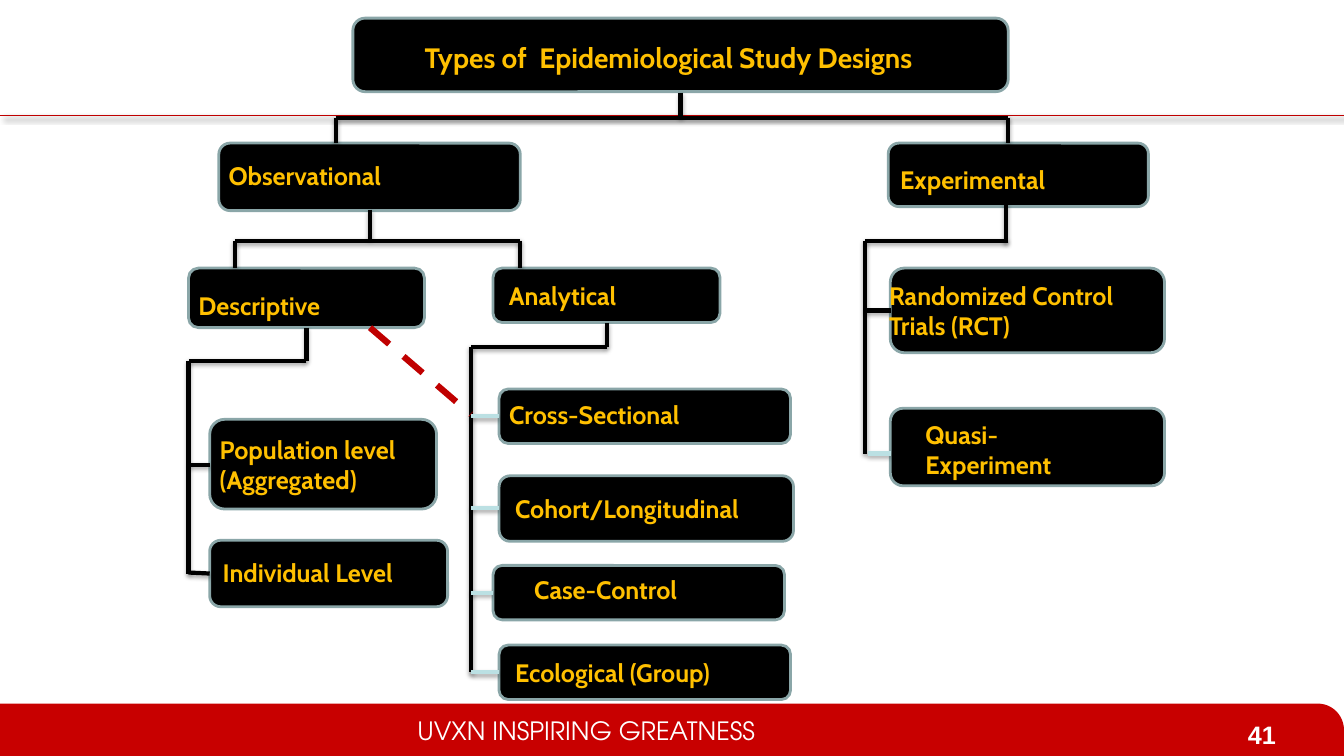
from lxml import etree
from pptx import Presentation
from pptx.dml.color import RGBColor
from pptx.enum.dml import MSO_LINE
from pptx.enum.shapes import MSO_CONNECTOR, MSO_SHAPE
from pptx.enum.text import PP_ALIGN
from pptx.oxml.ns import qn
from pptx.util import Inches, Pt

BLACK = RGBColor(0x00, 0x00, 0x00)
WHITE = RGBColor(0xFF, 0xFF, 0xFF)
GOLD = RGBColor(0xFF, 0xC0, 0x00)
GREY_TEAL = RGBColor(0x8A, 0xA6, 0xA8)
PALE_BLUE = RGBColor(0xBB, 0xE0, 0xE3)
RED = RGBColor(0xC0, 0x00, 0x00)
FOOTER_RED = RGBColor(0xC8, 0x00, 0x00)
ROUNDED = MSO_SHAPE.ROUNDED_RECTANGLE
ONE_ROUND = MSO_SHAPE.ROUND_1_RECTANGLE
STRAIGHT = MSO_CONNECTOR.STRAIGHT
DASH = MSO_LINE.DASH
LEFT, CENTER = PP_ALIGN.LEFT, PP_ALIGN.CENTER

# Shadows: opacity %, blur pt, distance pt, angle
TREE_SHADOW = (35, 3.1, 1.8, 90)
RULE_SHADOW = (40, 4, 3, 45)

prs = Presentation()
prs.slide_width, prs.slide_height = Inches(13.33), Inches(7.5)
s = prs.slides.add_slide(prs.slide_layouts[6])


def add_text(text, x, y, w, h, size=18, font="Cabin", color=GOLD, bold=True, align=LEFT):
    tf = s.shapes.add_textbox(Inches(x), Inches(y), Inches(w), Inches(h)).text_frame
    tf.word_wrap = True
    p = tf.paragraphs[0]
    p.alignment = align
    r = p.add_run()
    r.text = text
    r.font.size, r.font.name, r.font.bold = Pt(size), font, bold
    r.font.color.rgb = color


def add_line(x1, y1, x2, y2, color=BLACK, width=3, shadow=TREE_SHADOW, dash=None):
    ln = s.shapes.add_connector(STRAIGHT, Inches(x1), Inches(y1), Inches(x2), Inches(y2))
    ln.line.color.rgb = color
    ln.line.width = Pt(width)
    if dash:
        ln.line.dash_style = dash
    effects = etree.SubElement(ln._element.spPr, qn("a:effectLst"))
    if shadow:
        opacity, blur, dist, angle = shadow
        outer = etree.SubElement(effects, qn("a:outerShdw"), blurRad=str(Pt(blur)),
                                 dist=str(Pt(dist)), dir=str(angle * 60000), rotWithShape="0")
        clr = etree.SubElement(outer, qn("a:srgbClr"), val="000000")
        etree.SubElement(clr, qn("a:alpha"), val=str(opacity * 1000))


# Header rule and footer band
add_line(0, 1.15, 13.33, 1.15, color=RED, width=0.75, shadow=RULE_SHADOW)
sp = s.shapes.add_shape(ONE_ROUND, Inches(0), Inches(6.98), Inches(13.33), Inches(0.52))
sp.adjustments[0] = 0.5
sp.shadow.inherit = False
sp.fill.solid()
sp.fill.fore_color.rgb = FOOTER_RED
sp.line.fill.background()
add_text("UVXN INSPIRING GREATNESS", 4.04, 7.05, 4.72, 0.4,
         font="TeX Gyre Adventor", color=WHITE, bold=False)
add_text("41", 12.2, 7.09, 0.63, 0.31, font="Arial", color=WHITE, align=CENTER)

# Boxes of the tree
boxes = [
    (3.5, 0.18, 6.5, 0.73),    # title
    (2.17, 1.42, 2.99, 0.67),  # observational
    (8.81, 1.42, 2.58, 0.63),  # experimental
    (1.87, 2.66, 2.34, 0.59),  # descriptive
    (2.08, 4.16, 2.25, 0.89),
    (2.08, 5.36, 2.36, 0.66),
    (4.89, 2.66, 2.25, 0.54),  # analytical
    (4.95, 3.86, 2.89, 0.54),
    (4.95, 4.72, 2.92, 0.65),
    (4.89, 5.61, 2.89, 0.54),
    (4.95, 6.4, 2.89, 0.54),
    (8.83, 2.66, 2.72, 0.84),  # trials
    (8.83, 4.05, 2.72, 0.77),
]
for box in boxes:
    sp = s.shapes.add_shape(ROUNDED, *map(Inches, box))
    sp.shadow.inherit = False
    sp.fill.solid()
    sp.fill.fore_color.rgb = BLACK
    sp.line.color.rgb = GREY_TEAL
    sp.line.width = Pt(2)

# Black branches, each a path of joined points
branches = [
    [(6.75, 0.92), (6.75, 1.17)],                              # title
    [(3.33, 1.42), (3.33, 1.17), (10, 1.17), (10, 1.42)],
    [(3.67, 2.08), (3.67, 2.37)],                              # observational
    [(2.33, 2.66), (2.33, 2.39), (5.16, 2.39), (5.16, 2.66)],
    [(3.04, 3.25), (3.04, 3.58), (1.87, 3.58), (1.87, 5.69)],  # descriptive
    [(1.87, 4.61), (2.08, 4.61)],
    [(1.87, 5.68), (2.08, 5.69)],
    [(6.02, 3.2), (6.02, 3.44), (4.67, 3.44), (4.67, 6.67)],   # analytical
    [(9.98, 2.01), (9.98, 2.41)],                              # experimental
    [(10, 2.39), (8.58, 2.39), (8.58, 4.5)],
    [(8.58, 3.08), (8.84, 3.08)],
]
for points in branches:
    for start, end in zip(points, points[1:]):
        add_line(*start, *end)

# Pale stubs into the boxes
for x1, x2, y in [(4.67, 4.95, 4.13), (4.67, 4.95, 5.04), (4.67, 4.89, 5.88),
                  (4.67, 4.95, 6.67), (8.61, 8.84, 4.5)]:
    add_line(x1, y, x2, y, color=PALE_BLUE)

# Dashed link from descriptive to cross-sectional
add_line(3.67, 3.25, 4.67, 4.11, color=RED, width=4.5, shadow=None, dash=DASH)

# Labels
add_text("Types of  Epidemiological Study Designs", 3.67, 0.35, 5.92, 0.44,
         size=20, align=CENTER)
labels = [
    ("Observational", 2.17, 1.54, 2.99, 0.4),
    ("Experimental", 8.83, 1.58, 2.54, 0.4),
    ("Descriptive", 1.87, 2.83, 2.34, 0.4),
    ("Population level (Aggregated)", 2.08, 4.26, 2.25, 0.71),
    ("Individual Level", 2.11, 5.48, 2.31, 0.4),
    ("Analytical", 4.95, 2.73, 2.2, 0.4),
    ("Cross-Sectional", 4.95, 3.91, 2.75, 0.4),
    ("Cohort/Longitudinal", 5.01, 4.84, 2.82, 0.4),
    ("Case-Control", 5.2, 5.65, 2.63, 0.4),
    ("Ecological (Group)", 5.01, 6.47, 2.68, 0.4),
    ("Randomized Control Trials (RCT)", 8.72, 2.73, 2.83, 0.71),
    ("Quasi-Experiment", 9.08, 4.11, 2.11, 0.71),
]
for label in labels:
    add_text(*label)

prs.save("out.pptx")
